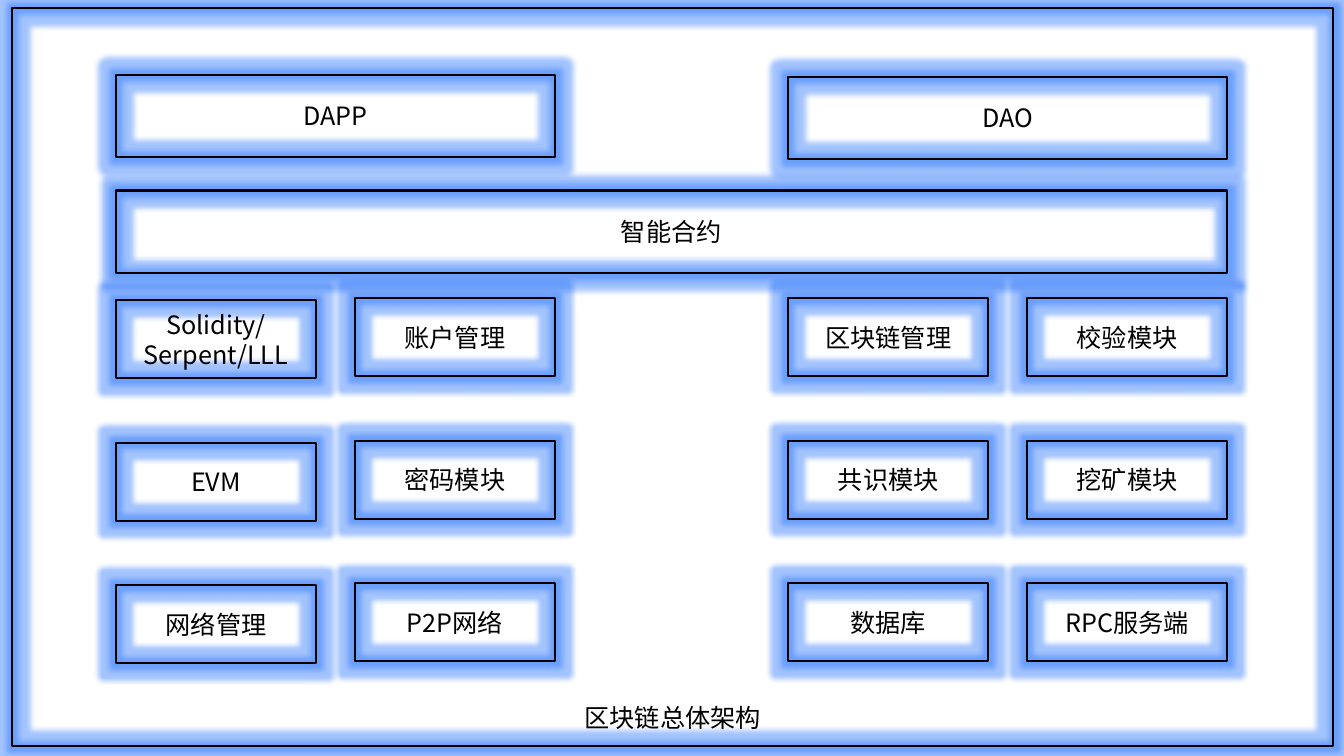
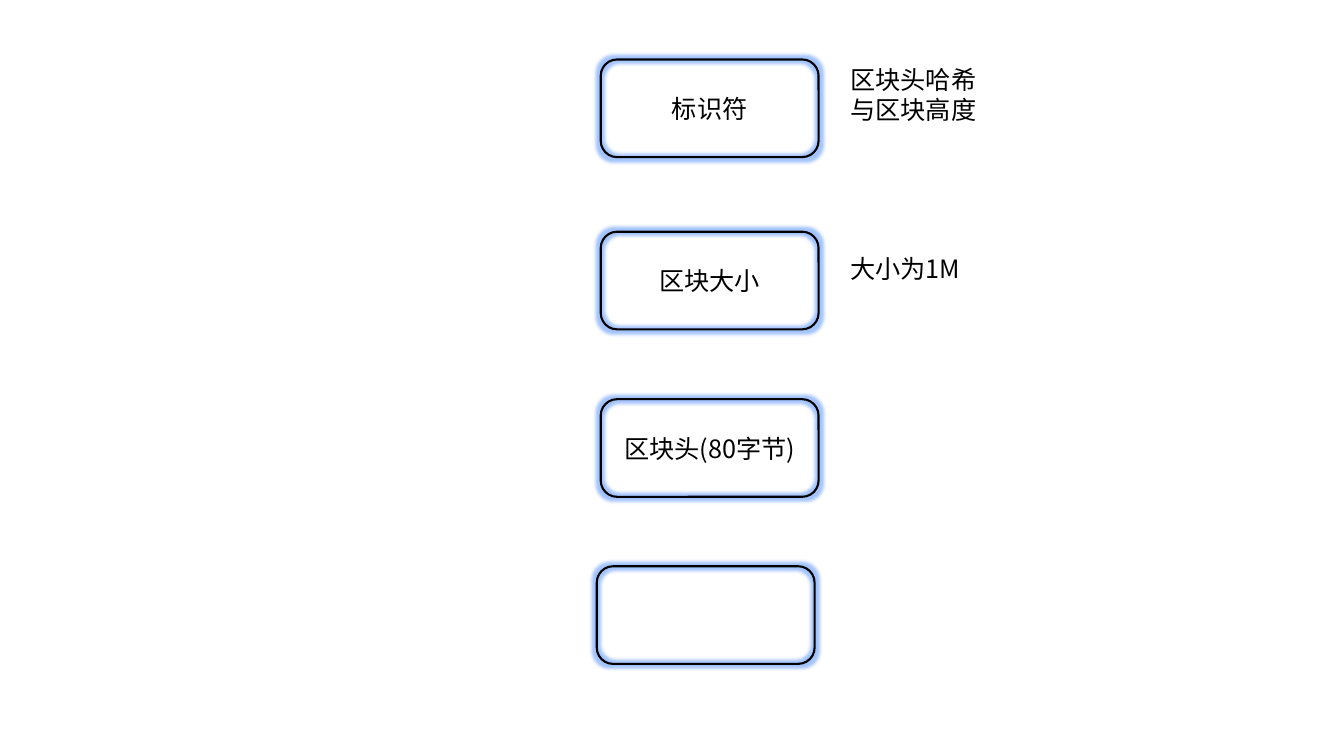
from dataclasses import dataclass
from typing import NamedTuple

from lxml import etree
from pptx import Presentation
from pptx.dml.color import RGBColor
from pptx.enum.shapes import MSO_SHAPE
from pptx.enum.text import MSO_ANCHOR, MSO_AUTO_SIZE, PP_ALIGN
from pptx.oxml.ns import qn
from pptx.util import Cm, Pt

RECT = MSO_SHAPE.RECTANGLE
ROUND = MSO_SHAPE.ROUNDED_RECTANGLE
MIDDLE = MSO_ANCHOR.MIDDLE
CENTER = PP_ALIGN.CENTER
LEFT = PP_ALIGN.LEFT
GROW = MSO_AUTO_SIZE.SHAPE_TO_FIT_TEXT


@dataclass(frozen=True)
class Theme:
    ink: RGBColor = RGBColor(0, 0, 0)
    glow: str = "186AFC"
    alpha: int = 40000
    font: str = "Noto Sans CJK SC"
    size: Pt = Pt(18)
    line: Pt = Pt(1.5)
    wide: Pt = Pt(8)
    thin: Pt = Pt(5)


class Box(NamedTuple):
    left: float
    top: float
    width: float
    height: float

    def inner(self, left, top, width, height):
        return Box(self.left + left, self.top + top, width, height)

    def lengths(self):
        return [Cm(value) for value in self]


THEME = Theme()
FULL = Box(0, 0, 33.87, 19.05)


def write(frame, text, align):
    frame.text = text
    para = frame.paragraphs[0]
    para.alignment = align
    font = para.font
    font.size = THEME.size
    font.name = THEME.font
    font.color.rgb = THEME.ink
    props = para._p.pPr.find(qn("a:defRPr"))
    etree.SubElement(props, qn("a:ea"), typeface=THEME.font)


def add_glow(shape, radius):
    shape.shadow.inherit = False
    effects = shape._element.spPr.find(qn("a:effectLst"))
    glow = etree.SubElement(effects, qn("a:glow"), rad=str(int(radius)))
    color = etree.SubElement(glow, qn("a:srgbClr"), val=THEME.glow)
    etree.SubElement(color, qn("a:alpha"), val=str(THEME.alpha))


def add_block(slide, box, text="", kind=RECT, glow=THEME.wide):
    shape = slide.shapes.add_shape(kind, *box.lengths())
    shape.fill.background()
    shape.line.color.rgb = THEME.ink
    shape.line.width = THEME.line
    add_glow(shape, glow)
    if text:
        shape.text_frame.vertical_anchor = MIDDLE
        write(shape.text_frame, text, CENTER)


def add_label(slide, box, text, wrap=True):
    frame = slide.shapes.add_textbox(*box.lengths()).text_frame
    frame.word_wrap = wrap
    frame.auto_size = GROW
    write(frame, text, LEFT)


def add_grid(slide, box, rows, drop=0):
    width, height = 5.05, 1.96
    step_x = box.width - width
    step_y = (box.height - height) / (len(rows) - 1)
    for row, names in enumerate(rows):
        for col, name in enumerate(names):
            shift = 0 if col else drop
            cell = box.inner(col * step_x, row * step_y + shift, width, height)
            add_block(slide, cell, name)


def stack_slide(slide, box):
    add_block(slide, box)
    left, right, half, bar = 2.62, 19.56, 11.07, 2.08
    add_block(slide, box.inner(left, 1.68, half, bar), "DAPP")
    add_block(slide, box.inner(right, 1.73, half, bar), "DAO")
    add_block(slide, box.inner(left, 4.6, 28, bar), "智能合约")
    top, height = 7.32, 9.14
    add_grid(slide, box.inner(left, top, half, height), [
        ("Solidity/Serpent/LLL", "账户管理"),
        ("EVM", "密码模块"),
        ("网络管理", "P2P网络"),
    ], drop=0.05)
    add_grid(slide, box.inner(right, top, half, height), [
        ("区块链管理", "校验模块"),
        ("共识模块", "挖矿模块"),
        ("数据库", "RPC服务端"),
    ])
    add_label(slide, box.inner(14.18, 17.38, 5, 1.02), "区块链总体架构", wrap=False)


def chain_slide(slide, box):
    blocks = [
        (15.14, 1.5, "标识符"),
        (15.14, 5.84, "区块大小"),
        (15.14, 10.06, "区块头(80字节)"),
        (15.04, 14.27, ""),
    ]
    for left, top, name in blocks:
        add_block(slide, box.inner(left, top, 5.49, 2.46), name, ROUND, THEME.thin)
    notes = [
        (6.25, 5.08, 1.02, "大小为1M"),
        (1.5, 3.86, 1.8, "区块头哈希与区块高度"),
    ]
    for top, width, height, text in notes:
        add_label(slide, box.inner(21.18, top, width, height), text)


def main():
    deck = Presentation()
    deck.slide_width = Cm(FULL.width)
    deck.slide_height = Cm(FULL.height)
    blank = deck.slide_layouts[6]
    stack_slide(deck.slides.add_slide(blank), FULL.inner(0.3, 0.2, 33.3, 18.59))
    chain_slide(deck.slides.add_slide(blank), FULL)
    deck.save("out.pptx")


main()
